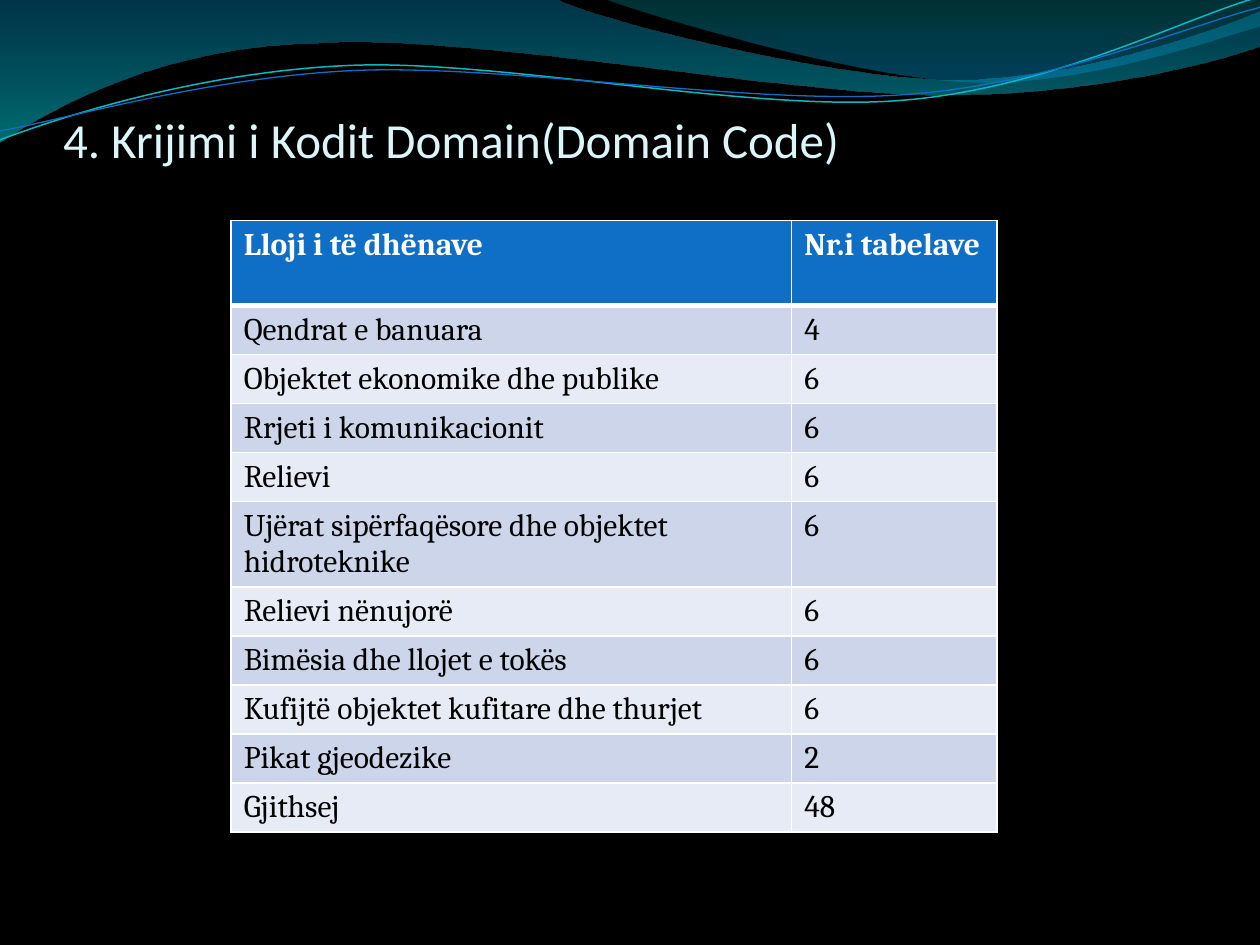
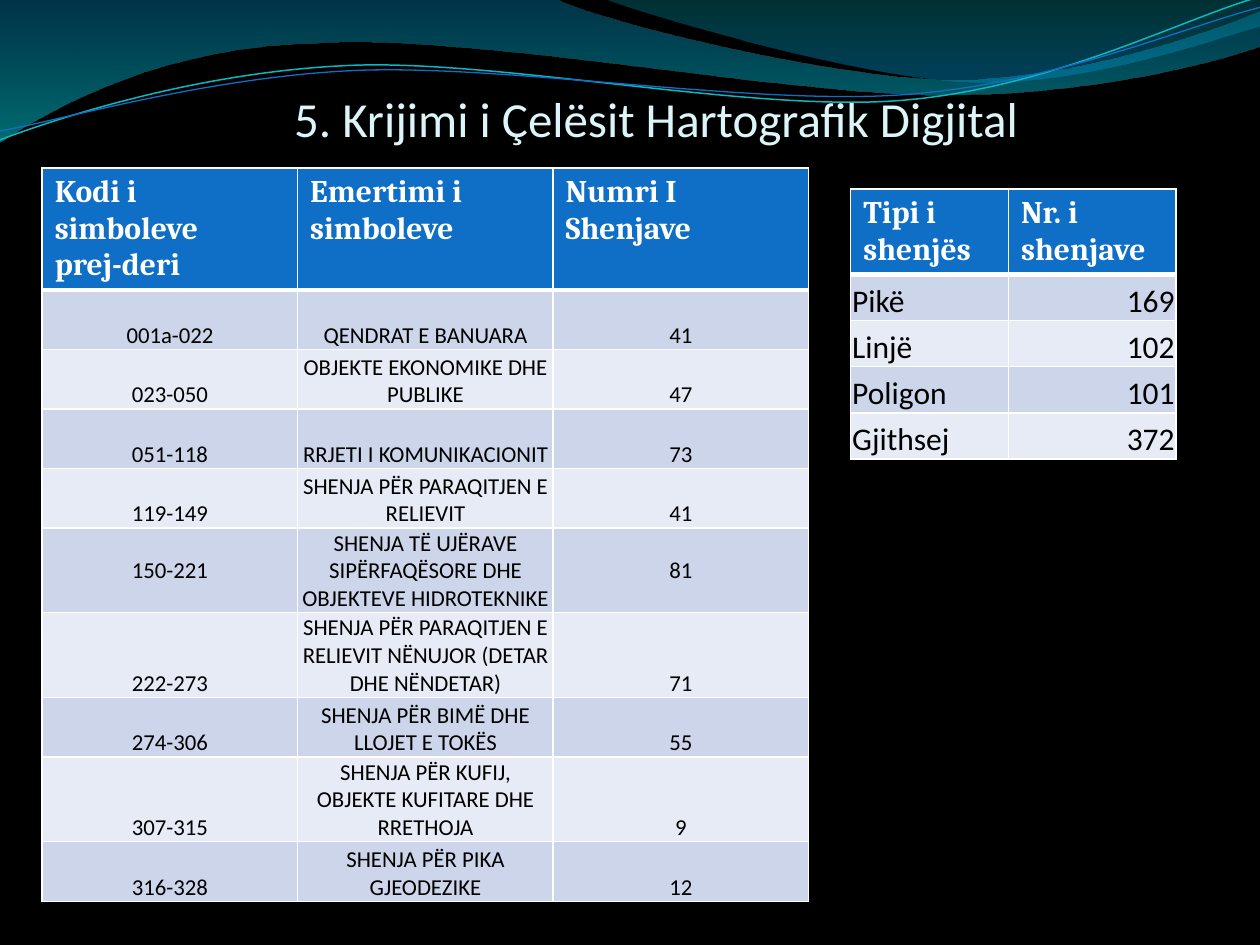
from dataclasses import dataclass

from lxml import etree
from pptx import Presentation
from pptx.dml.color import RGBColor
from pptx.enum.text import MSO_ANCHOR, MSO_AUTO_SIZE, PP_ALIGN
from pptx.oxml.ns import qn
from pptx.util import Cm, Pt

LEFT, CENTER, RIGHT = PP_ALIGN.LEFT, PP_ALIGN.CENTER, PP_ALIGN.RIGHT
TOP, MIDDLE, BOTTOM = MSO_ANCHOR.TOP, MSO_ANCHOR.MIDDLE, MSO_ANCHOR.BOTTOM
NO_AUTOFIT = MSO_AUTO_SIZE.NONE

BLACK, WHITE = "000000", "FFFFFF"
TITLE_COLOR = "DBF5F9"
HEADER_FILL = "0F6FC6"
BAND_FILLS = ("CCD5EA", "E7EBF5")
TITLE_ONLY = 5

Point = tuple[float, float]


@dataclass(frozen=True)
class Stop:
    position: float
    color: str
    opacity: int


@dataclass(frozen=True)
class Wave:
    """Outline in cm: a segment of one point is straight, of three a Bézier curve."""
    start: Point
    segments: tuple[tuple[Point, ...], ...]
    gradient: tuple[Stop, ...] = ()
    line_color: str = ""
    line_width: float = 0


@dataclass(frozen=True)
class TitleBox:
    text: str
    left: float
    top: float
    width: float
    height: float


@dataclass(frozen=True)
class DataTable:
    left: float
    top: float
    height: float
    column_widths: tuple[float, ...]
    header_height: float
    row_height: float
    rows: tuple[tuple[str, ...], ...]
    alignments: tuple[PP_ALIGN, ...]
    font: str = "Calibri"
    size: float = 18
    compact: bool = True
    middle_row: int = 0


WAVES = (
    Wave((0, 0), (
        ((11.18, -0.03),),
        ((12.09, 0.43), (16.87, 1.6), (19.25, 1.6)),
        ((21.67, 1.6), (24.33, 0.66), (25.4, 0.23)),
        ((25.43, 0.91),),
        ((24.97, 1.12), (22.1, 1.93), (18.95, 1.91)),
        ((15.8, 1.91), (9.7, 0.71), (6.53, 0.86)),
        ((3.28, 0.91), (1.17, 2.11), (-0.03, 2.87)),
    ), gradient=(Stop(0, "0074A1", 45), Stop(1, "00C6CF", 55))),
    Wave((12.17, -0.03), (
        ((12.93, 0.28), (17.32, 1.57), (19.53, 1.65)),
        ((21.74, 1.75), (24.41, 0.81), (25.4, 0.53)),
        ((25.4, 0),),
    ), gradient=(Stop(0, "00A1A9", 30), Stop(0.8, "008BBF", 45))),
    Wave((0, 2.82), (
        ((1.22, 2.36), (4.01, 1.45), (7.04, 1.32)),
        ((10.03, 1.19), (15.06, 2.26), (18.11, 2.03)),
        ((21.16, 1.8), (23.83, 0.38), (25.35, -0.05)),
    ), line_color="0AB8BF", line_width=0.85),
    Wave((0, 2.64), (
        ((1.19, 2.44), (4.17, 1.55), (7.19, 1.42)),
        ((10.24, 1.3), (15.16, 2.13), (18.21, 1.91)),
        ((21.23, 1.7), (23.9, 0.53), (25.4, 0.15)),
    ), line_color="0F6FC6", line_width=0.75),
)

DOMAIN_TABLE = DataTable(
    4.66, 4.45, 13.46, (11.3, 4.14), 1.71, 0.74,
    (
        ("Lloji i të dhënave", "Nr.i tabelave"),
        ("Qendrat e banuara", "4"),
        ("Objektet ekonomike dhe publike", "6"),
        ("Rrjeti i komunikacionit", "6"),
        ("Relievi", "6"),
        ("Ujërat sipërfaqësore dhe objektet hidroteknike", "6"),
        ("Relievi nënujorë", "6"),
        ("Bimësia dhe llojet e tokës", "6"),
        ("Kufijtë objektet kufitare dhe thurjet", "6"),
        ("Pikat gjeodezike", "2"),
        ("Gjithsej", "48"),
    ),
    (LEFT, LEFT), font="Cambria", compact=False,
)

SIGN_TYPE_TABLE = DataTable(
    17.15, 3.81, 5.51, (3.18, 3.38), 0.93, 0.93,
    (
        ("Tipi i shenjës", "Nr. i shenjave"),
        ("Pikë", "169"),
        ("Linjë", "102"),
        ("Poligon", "101"),
        ("Gjithsej", "372"),
    ),
    (LEFT, RIGHT),
)

SYMBOL_TABLE = DataTable(
    0.85, 3.39, 14.81, (5.15, 5.15, 5.15), 1.2, 1.2,
    (
        ("Kodi i\nsimboleve\nprej-deri", "Emertimi i simboleve", "Numri I Shenjave"),
        ("001a-022", "QENDRAT E BANUARA", "41"),
        ("023-050", "OBJEKTE EKONOMIKE DHE PUBLIKE", "47"),
        ("051-118", "RRJETI I KOMUNIKACIONIT", "73"),
        ("119-149", "SHENJA PËR PARAQITJEN E RELIEVIT", "41"),
        ("150-221", "SHENJA TË UJËRAVE SIPËRFAQËSORE DHE OBJEKTEVE HIDROTEKNIKE", "81"),
        ("222-273", "SHENJA PËR PARAQITJEN E RELIEVIT NËNUJOR (DETAR DHE NËNDETAR)", "71"),
        ("274-306", "SHENJA PËR BIMË DHE LLOJET E TOKËS", "55"),
        ("307-315", "SHENJA PËR KUFIJ, OBJEKTE KUFITARE DHE RRETHOJA", "9"),
        ("316-328", "SHENJA PËR PIKA GJEODEZIKE", "12"),
    ),
    (CENTER, CENTER, CENTER), size=13, middle_row=5,
)

SLIDES = (
    (TitleBox("4. Krijimi i Kodit Domain(Domain Code)", 1.27, 1.96, 22.86, 1.44),
     (DOMAIN_TABLE,)),
    (TitleBox("5. Krijimi i Çelësit Hartografik Digjital", 5.93, 1.48, 14.6, 1.49),
     (SIGN_TYPE_TABLE, SYMBOL_TABLE)),
)


def rgb(color: str) -> RGBColor:
    return RGBColor.from_string(color)


def set_font(paragraph, name: str, size: float, color: str, bold: bool = False) -> None:
    font = paragraph.font
    font.name, font.size, font.bold = name, Pt(size), bold
    font.color.rgb = rgb(color)


def bend(shape, wave: Wave) -> None:
    """Join the straight pieces of each three-point segment into one Bézier curve."""
    lines = iter(list(shape.element.iter(qn("a:lnTo"))))
    for segment in wave.segments:
        pieces = [next(lines) for _ in segment]
        if len(pieces) == 3:
            curve = etree.Element(qn("a:cubicBezTo"))
            pieces[0].addprevious(curve)
            for piece in pieces:
                curve.append(piece[0])
                piece.getparent().remove(piece)


def add_wave(slide, wave: Wave):
    x, y = wave.start
    builder = slide.shapes.build_freeform(Cm(x), Cm(y))
    builder.add_line_segments(
        [(Cm(px), Cm(py)) for segment in wave.segments for px, py in segment],
        close=False)
    if wave.gradient:
        builder.add_line_segments([(Cm(x), Cm(y))], close=True)
    shape = builder.convert_to_shape()
    bend(shape, wave)
    shape.shadow.inherit = False
    if wave.gradient:
        shape.line.fill.background()
        shape.fill.gradient()
        shape.fill.gradient_angle = 270
        for gradient_stop, stop in zip(shape.fill.gradient_stops, wave.gradient):
            gradient_stop.position = stop.position
            gradient_stop.color.rgb = rgb(stop.color)
        colors = shape.element.spPr.iter(qn("a:srgbClr"))
        for color, stop in zip(colors, wave.gradient):
            etree.SubElement(color, qn("a:alpha"), val=str(stop.opacity * 1000))
    else:
        shape.fill.background()
        shape.line.color.rgb = rgb(wave.line_color)
        shape.line.width = Pt(wave.line_width)
    return shape


def move_to_layout(shapes: list, layout) -> None:
    """Put the shapes behind everything else on the layout."""
    for index, shape in enumerate(shapes, start=2):
        layout.shapes.element.insert(index, shape.element)


def set_title(slide, box: TitleBox) -> None:
    title = slide.shapes.title
    title.left, title.top = Cm(box.left), Cm(box.top)
    title.width, title.height = Cm(box.width), Cm(box.height)
    frame = title.text_frame
    frame.text = box.text
    frame.word_wrap, frame.auto_size = True, NO_AUTOFIT
    frame.vertical_anchor = BOTTOM
    frame.margin_left = frame.margin_right = frame.margin_bottom = 0
    frame.margin_top = Cm(0.13)
    paragraph = frame.paragraphs[0]
    paragraph.alignment = LEFT
    set_font(paragraph, "Calibri", 28, TITLE_COLOR)


def set_borders(cell, top: float, bottom: float) -> None:
    properties = cell._tc.get_or_add_tcPr()
    for side, width in (("L", 1), ("R", 1), ("T", top), ("B", bottom)):
        border = etree.SubElement(properties, qn(f"a:ln{side}"), w=str(Pt(width)))
        fill = etree.SubElement(border, qn("a:solidFill"))
        etree.SubElement(fill, qn("a:srgbClr"), val=WHITE)


def format_cell(cell, data: DataTable, row: int, column: int) -> None:
    is_header = row == 0
    set_borders(cell, top=3 if row == 1 else 1, bottom=3 if is_header else 1)
    cell.fill.solid()
    cell.fill.fore_color.rgb = rgb(HEADER_FILL if is_header else BAND_FILLS[(row - 1) % 2])
    cell.vertical_anchor = TOP
    if data.compact and not is_header:
        cell.margin_left = cell.margin_right = cell.margin_top = Cm(0.03)
        cell.margin_bottom = 0
        cell.vertical_anchor = MIDDLE if row == data.middle_row else BOTTOM
    for paragraph in cell.text_frame.paragraphs:
        if is_header:
            paragraph.alignment = LEFT
            set_font(paragraph, "Cambria", 18, WHITE, bold=True)
        else:
            paragraph.alignment = data.alignments[column]
            set_font(paragraph, data.font, data.size, BLACK)


def add_data_table(slide, data: DataTable) -> None:
    frame = slide.shapes.add_table(
        len(data.rows), len(data.column_widths), Cm(data.left), Cm(data.top),
        Cm(sum(data.column_widths)), Cm(data.height))
    table = frame.table
    for column, width in zip(table.columns, data.column_widths):
        column.width = Cm(width)
    for row, texts in enumerate(data.rows):
        table.rows[row].height = Cm(data.row_height if row else data.header_height)
        for column, text in enumerate(texts):
            cell = table.cell(row, column)
            cell.text = text
            format_cell(cell, data, row, column)
    frame.height = Cm(data.height)


def main() -> None:
    prs = Presentation()
    prs.slide_width, prs.slide_height = Cm(25.4), Cm(19.05)
    background = prs.slide_master.background.fill
    background.solid()
    background.fore_color.rgb = rgb(BLACK)
    layout = prs.slide_layouts[TITLE_ONLY]
    for number, (title, tables) in enumerate(SLIDES):
        slide = prs.slides.add_slide(layout)
        if number == 0:
            move_to_layout([add_wave(slide, wave) for wave in WAVES], layout)
        set_title(slide, title)
        for data in tables:
            add_data_table(slide, data)
    prs.save("out.pptx")


if __name__ == "__main__":
    main()
